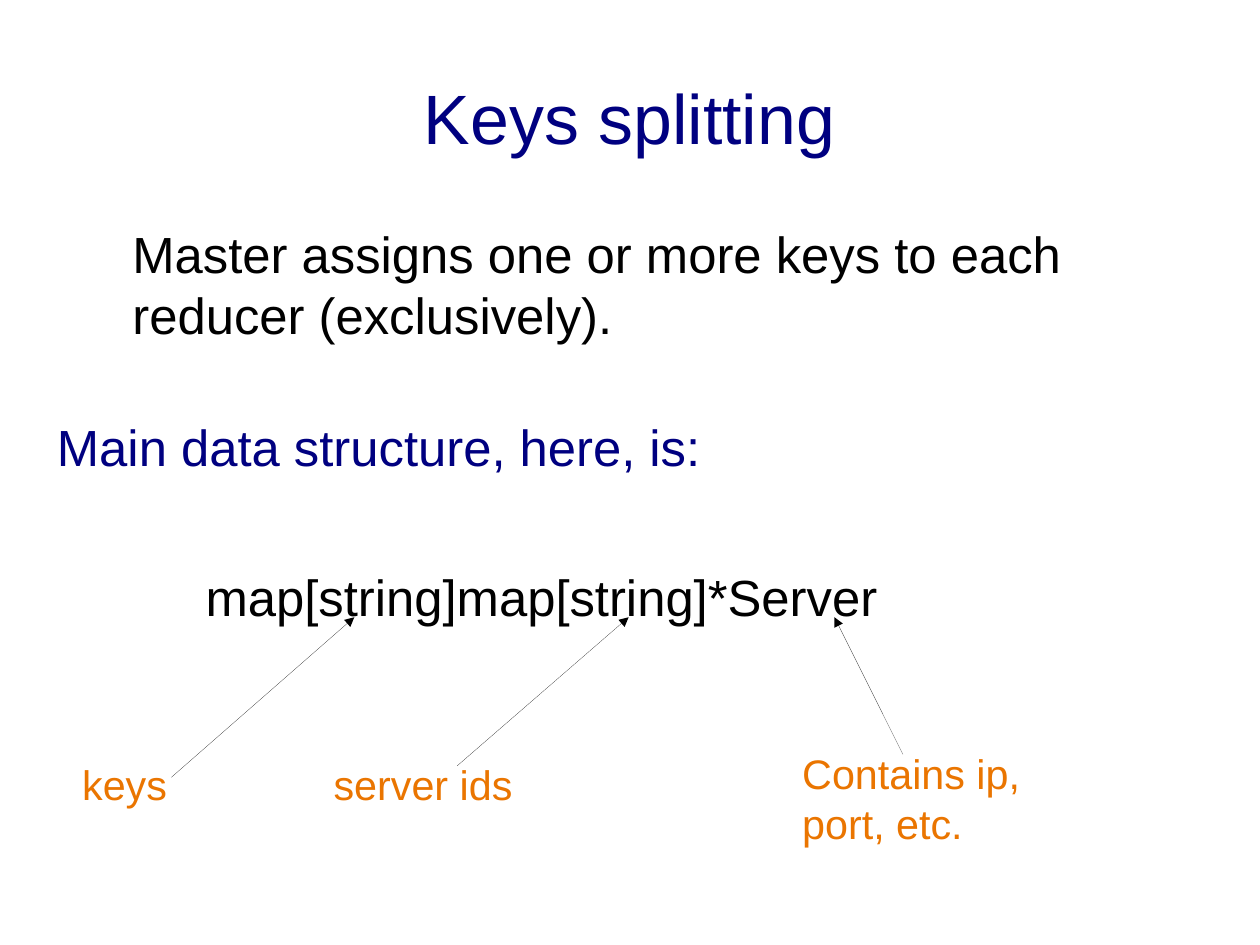
"""Build the "Keys splitting" slide: statement, data structure and annotated arrows."""
from dataclasses import dataclass

from lxml import etree
from pptx import Presentation, util as u
from pptx.dml.color import RGBColor
from pptx.enum import shapes, text
from pptx.oxml.ns import qn

TITLE = ("Keys splitting", (5.5, 3.3, 99.2, 13.8))
BODY = [
    ("Master assigns one or more keys to each reducer (exclusively).", (10.6, 19, 94.4, 17.1), "ink"),
    ("Main data structure, here, is:", (4, 35.9, 60.4, 11.1), "navy"),
    ("map[string]map[string]*Server", (17, 49, 80.4, 9), "ink"),
]
LABEL_SIZE = (24.8, 9.1)
ARROW_TIP_ROW = 54
LABELS = [
    ("keys", (6.2, 65.9), (15, 68), 31),
    ("server ids", (28.2, 65.9), (40, 67), 55),
    ("Contains ip, port, etc.", (69.2, 65), (79, 66), 73),
]


@dataclass(frozen=True)
class Theme:
    font: str = "Arial"
    ink: str = "000000"
    navy: str = "000080"
    orange: str = "EA7500"
    title: int = 44
    body: int = 32
    label: int = 26


THEME = Theme()


def grid(*cells):
    return [u.Inches(c / 10) for c in cells]


def add_text(slide, words, box, size, color):
    tf = slide.shapes.add_textbox(*grid(*box)).text_frame
    tf.word_wrap = True
    tf.text = words
    font = tf.paragraphs[0].runs[0].font
    font.name, font.size = THEME.font, u.Pt(size)
    font.color.rgb = RGBColor.from_string(color)
    return tf


def add_title(slide, words, box):
    tf = add_text(slide, words, box, THEME.title, THEME.navy)
    tf.margin_left = tf.margin_right = tf.margin_top = tf.margin_bottom = 0
    tf.vertical_anchor = text.MSO_ANCHOR.MIDDLE
    tf.paragraphs[0].alignment = text.PP_ALIGN.CENTER


def add_arrow(slide, start, tip):
    sp = slide.shapes.add_connector(shapes.MSO_CONNECTOR.STRAIGHT, *grid(*start, *tip))
    sp.line.color.rgb = RGBColor.from_string(THEME.ink)
    props = sp._element.spPr
    ln = props.find(qn("a:ln"))
    ln.set("w", "0")
    etree.SubElement(ln, qn("a:tailEnd"), type="triangle")
    etree.SubElement(props, qn("a:effectLst"))


def main():
    prs = Presentation()
    prs.slide_width = u.Cm(28)
    prs.slide_height = u.Cm(21)
    slide = prs.slides.add_slide(prs.slide_layouts[6])
    add_title(slide, *TITLE)
    for words, box, color in BODY:
        add_text(slide, words, box, THEME.body, getattr(THEME, color))
    for words, corner, _, _ in LABELS:
        add_text(slide, words, corner + LABEL_SIZE, THEME.label, THEME.orange)
    for _, _, start, tip_column in LABELS:
        add_arrow(slide, start, (tip_column, ARROW_TIP_ROW))
    prs.save("out.pptx")


if __name__ == "__main__":
    main()
